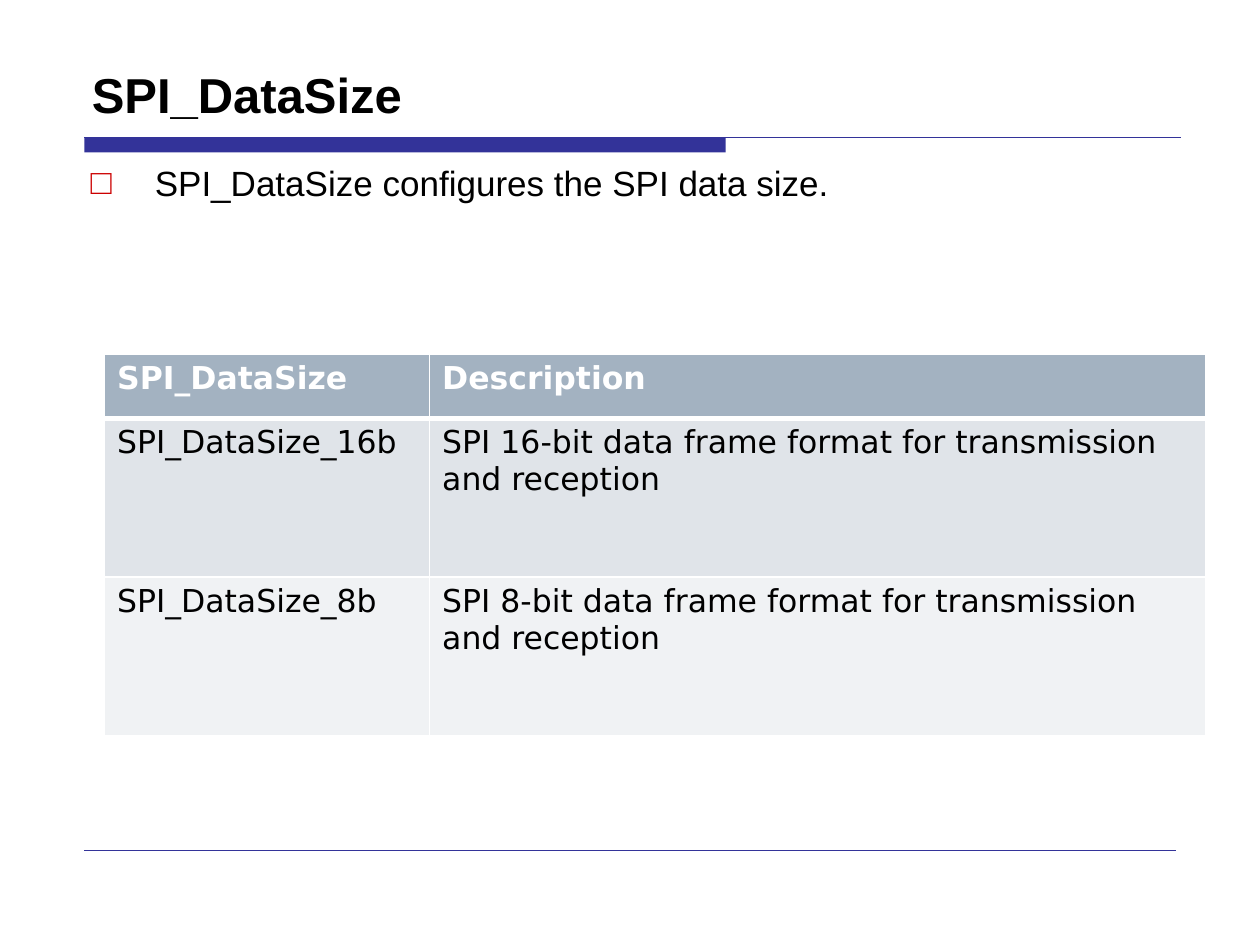
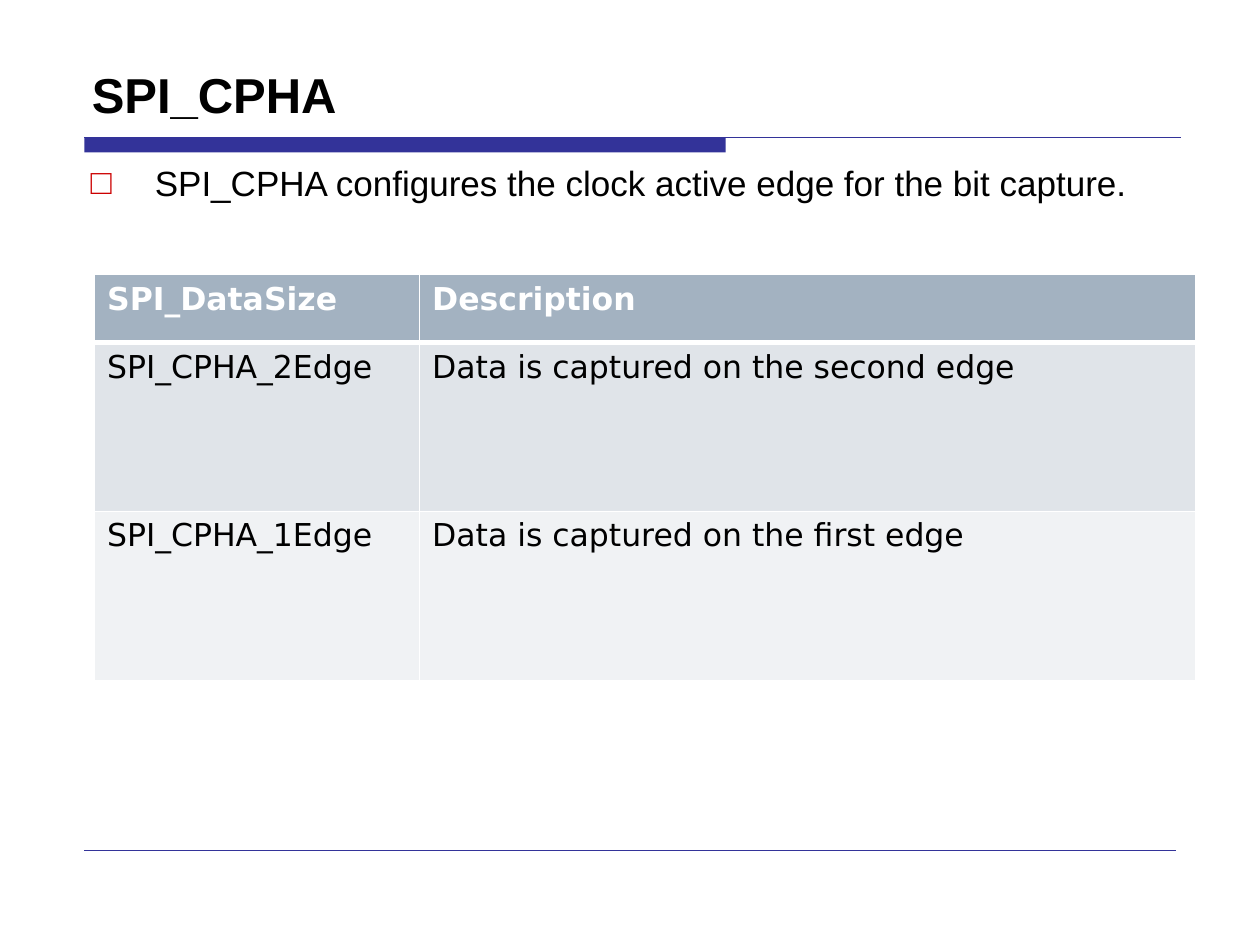
from lxml.etree import SubElement
from pptx import Presentation
from pptx.dml.color import RGBColor
from pptx.enum.shapes import MSO_CONNECTOR as Connector, MSO_SHAPE as Shape
from pptx.enum.text import MSO_ANCHOR as Anchor
from pptx.oxml.ns import qn
from pptx.util import Inches, Pt

INDIGO = RGBColor(0x33, 0x33, 0x99)
RED = RGBColor(0xCC, 0x00, 0x00)
BLACK = RGBColor(0x00, 0x00, 0x00)
WHITE = RGBColor(0xFF, 0xFF, 0xFF)
HEADER_FILL = RGBColor(0xA3, 0xB2, 0xC1)
ROW_FILLS = (RGBColor(0xE0, 0xE4, 0xE9), RGBColor(0xF0, 0xF2, 0xF4))

TEXT_FONT, TABLE_FONT = "Arial", "DejaVu Sans"
GRID_COLUMNS, GRID_ROWS = 100, 75
LEFT, RULE_TOP = 6.7, 10.9
TABLE_COLUMNS = (25.8, 61.6)
HEADINGS = ("SPI_DataSize", "Description")

PAGES = [
    {
        "title": "SPI_DataSize",
        "bullet": "SPI_DataSize configures the SPI data size.",
        "table_at": (8.3, 28.1),
        "row_heights": (5.1, 12.6, 12.6),
        "rows": [
            ("SPI_DataSize_16b", "SPI 16-bit data frame format for transmission and reception"),
            ("SPI_DataSize_8b", "SPI 8-bit data frame format for transmission and reception"),
        ],
    },
    {
        "title": "SPI_CPHA",
        "bullet": "SPI_CPHA configures the clock active edge for the bit capture.",
        "table_at": (7.5, 21.8),
        "row_heights": (5.4, 13.4, 13.4),
        "rows": [
            ("SPI_CPHA_2Edge", "Data is captured on the second edge"),
            ("SPI_CPHA_1Edge", "Data is captured on the first edge"),
        ],
    },
]


class SlideBuilder:
    """Draws styled elements on the current page; lengths are grid columns and rows."""

    def __init__(self):
        self.deck = Presentation()
        self.deck.slide_width, self.deck.slide_height = Inches(10), Inches(7.5)
        self.page = None

    def across(self, columns):
        return round(self.deck.slide_width * columns / GRID_COLUMNS)

    def down(self, rows):
        return round(self.deck.slide_height * rows / GRID_ROWS)

    def area(self, left, top, width, height):
        return self.across(left), self.down(top), self.across(width), self.down(height)

    def new_page(self):
        self.page = self.deck.slides.add_slide(self.deck.slide_layouts[6])

    def style_text(self, frame, size, color, font=TEXT_FONT, bold=False):
        for para in frame.paragraphs:
            for span in para.runs:
                span.font.name, span.font.size = font, Pt(size)
                span.font.bold = bold
                span.font.color.rgb = color

    def bar(self, *area):
        bar = self.page.shapes.add_shape(Shape.RECTANGLE, *self.area(*area))
        bar.shadow.inherit = False
        bar.fill.solid()
        bar.fill.fore_color.rgb = INDIGO
        bar.line.fill.background()

    def rule(self, start, end, row, weight):
        y = self.down(row)
        rule = self.page.shapes.add_connector(
            Connector.STRAIGHT, self.across(start), y, self.across(end), y)
        rule.line.color.rgb = INDIGO
        rule.line.width = Pt(weight)
        SubElement(rule._element.spPr, qn("a:effectLst"))

    def text(self, content, area, size, bold=False, anchor=Anchor.TOP):
        box = self.page.shapes.add_textbox(*self.area(*area))
        frame = box.text_frame
        frame.word_wrap = True
        frame.vertical_anchor = anchor
        frame.text = content
        self.style_text(frame, size, BLACK, bold=bold)
        return frame

    def bullet(self, content, area):
        para = self.text(content, area, 20).paragraphs[0]
        props = para._p.get_or_add_pPr()
        indent = self.across(5.1)
        props.set("marL", str(indent))
        props.set("indent", str(-indent))
        spacing = SubElement(props, qn("a:spcBef"))
        SubElement(spacing, qn("a:spcPct"), val="20000")
        color = SubElement(props, qn("a:buClr"))
        SubElement(color, qn("a:srgbClr"), val=str(RED))
        SubElement(props, qn("a:buFont"), typeface=TEXT_FONT)
        SubElement(props, qn("a:buChar"), char="□")

    def borders(self, cell, top, bottom):
        props = cell._tc.get_or_add_tcPr()
        for side, weight in (("L", 1), ("R", 1), ("T", top), ("B", bottom)):
            line = SubElement(props, qn(f"a:ln{side}"), w=str(Pt(weight)))
            fill = SubElement(line, qn("a:solidFill"))
            SubElement(fill, qn("a:srgbClr"), val=str(WHITE))

    def table(self, rows, at, row_heights):
        area = self.area(*at, sum(TABLE_COLUMNS), sum(row_heights))
        table = self.page.shapes.add_table(len(rows), len(TABLE_COLUMNS), *area).table
        for column, width in zip(table.columns, TABLE_COLUMNS):
            column.width = self.across(width)
        for index, (values, height) in enumerate(zip(rows, row_heights)):
            table.rows[index].height = self.down(height)
            header = index == 0
            for cell, value in zip(table.rows[index].cells, values):
                cell.text = value
                self.style_text(cell.text_frame, 18, WHITE if header else BLACK,
                                TABLE_FONT, bold=header)
                self.borders(cell, top=3 if index == 1 else 1, bottom=3 if header else 1)
                cell.fill.solid()
                cell.fill.fore_color.rgb = HEADER_FILL if header else ROW_FILLS[(index - 1) % 2]

    def frame(self, title):
        """Draws the title, its band and the footer line."""
        self.bar(LEFT, RULE_TOP, 50.9, 1.2)
        self.rule(LEFT, 93.7, RULE_TOP, 0.75)
        self.rule(LEFT, 93.3, 67.5, 0.25)
        self.text(title, (6.3, 2.8, 87.5, 7.5), 28, bold=True, anchor=Anchor.BOTTOM)


def main():
    builder = SlideBuilder()
    for content in PAGES:
        builder.new_page()
        builder.frame(content["title"])
        builder.bullet(content["bullet"], (6.2, 12.3, 87.5, 54.3))
        builder.table([HEADINGS, *content["rows"]], content["table_at"], content["row_heights"])
    builder.deck.save("out.pptx")


if __name__ == "__main__":
    main()
